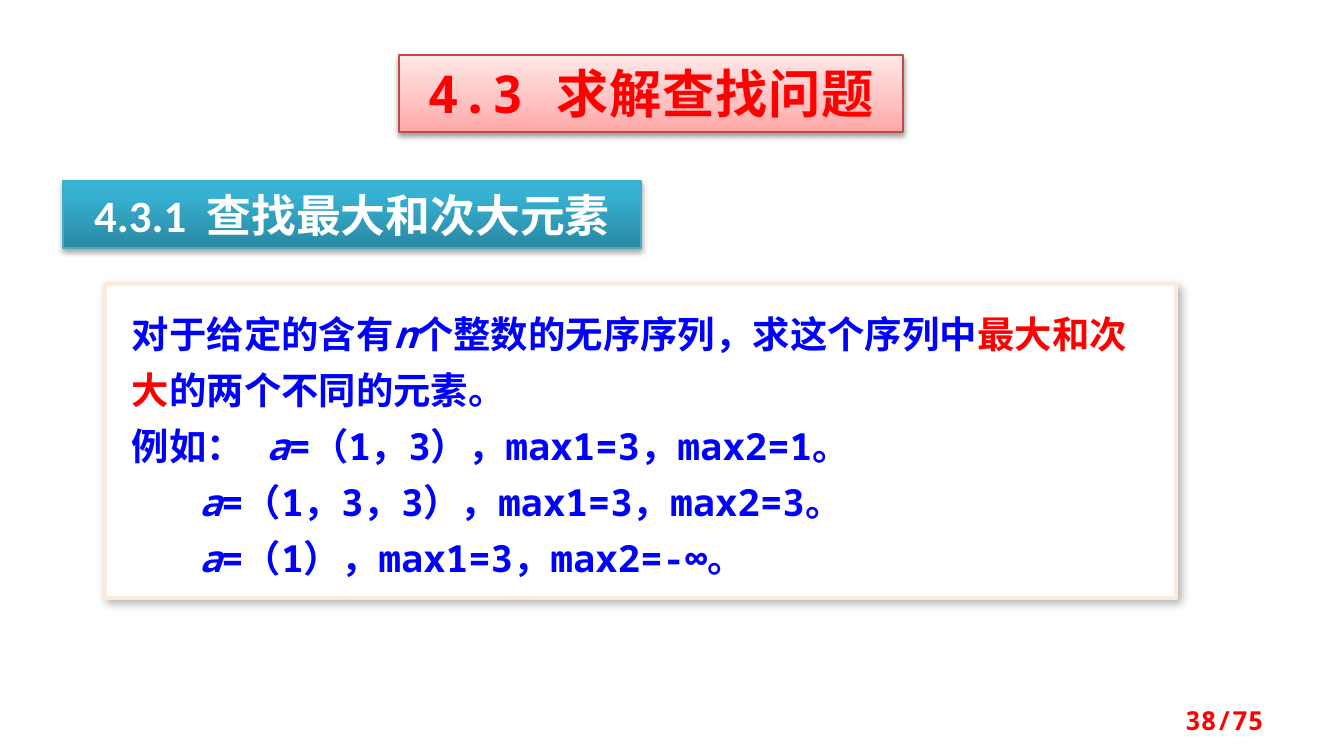
from dataclasses import dataclass

from lxml.etree import SubElement
from pptx import Presentation
from pptx.dml.color import RGBColor
from pptx.enum.shapes import MSO_SHAPE
from pptx.enum.text import MSO_ANCHOR, MSO_AUTO_SIZE, PP_ALIGN
from pptx.oxml.ns import qn
from pptx.util import Emu, Inches, Pt

EMU_PER_PX = 914400 / 134.4


@dataclass(frozen=True)
class Theme:
    white: str = "FFFFFF"
    red: str = "FF0000"
    blue: str = "0000FF"
    black: str = "000000"
    cream: str = "FDEADA"
    teal_line: str = "46AAC5"
    brick_line: str = "BF4C48"
    teal_stops: tuple = ((0, "2A88A2"), (80, "37B1D2"), (100, "34B4D6"))
    pink_stops: tuple = ((0, "FFA6A5"), (35, "FFC0BF"), (100, "FFE7E7"))
    sans: str = "Calibri"
    mono: str = "Noto Sans Mono"
    title_size: int = 28
    section_size: int = 24
    body_size: int = 20
    page_size: int = 14
    body_leading: int = 30


THEME = Theme()


@dataclass(frozen=True)
class Frame:
    left: int
    top: int
    width: int
    height: int

    def emu(self) -> list[Emu]:
        return [px(value) for value in (self.left, self.top, self.width, self.height)]


@dataclass(frozen=True)
class Shadow:
    alpha: int
    blur: float
    distance: float
    angle: int


@dataclass(frozen=True)
class Span:
    text: str
    color: str
    italic: bool = False
    spacing: float = 0


@dataclass(frozen=True)
class TextStyle:
    font: str
    size: int
    align: PP_ALIGN = PP_ALIGN.LEFT
    leading: int = 0


@dataclass(frozen=True)
class Panel:
    frame: Frame
    stops: tuple
    line: str
    line_width: float
    shadow: Shadow
    style: TextStyle
    lines: list[list[Span]]
    inset: tuple[float, float] = (0.1, 0.05)


def px(value: int) -> Emu:
    return Emu(round(value * EMU_PER_PX))


def write_lines(text_frame, lines: list[list[Span]], style: TextStyle) -> None:
    text_frame.word_wrap = True
    for index, spans in enumerate(lines):
        para = text_frame.paragraphs[0] if index == 0 else text_frame.add_paragraph()
        para.alignment = style.align
        if style.leading:
            para.line_spacing = Pt(style.leading)
        for span in spans:
            run = para.add_run()
            run.text = span.text
            run.font.name = style.font
            run.font.size = Pt(style.size)
            run.font.bold = True
            run.font.italic = span.italic
            run.font.color.rgb = RGBColor.from_string(span.color)
            properties = run.font._element
            SubElement(properties, qn("a:ea"), typeface=style.font)
            if span.spacing:
                properties.set("spc", str(round(span.spacing * 100)))


def fill_panel(box, stops: tuple) -> None:
    if len(stops) == 1:
        box.fill.solid()
        box.fill.fore_color.rgb = RGBColor.from_string(stops[0][1])
        return
    box.fill.gradient()
    box.fill.gradient_angle = 90
    stop_list = box._element.spPr.find(qn("a:gradFill")).find(qn("a:gsLst"))
    for old_stop in list(stop_list):
        stop_list.remove(old_stop)
    for position, color in stops:
        stop = SubElement(stop_list, qn("a:gs"), pos=str(position * 1000))
        SubElement(stop, qn("a:srgbClr"), val=color)


def cast_shadow(box, shadow: Shadow) -> None:
    box.shadow.inherit = False
    effects = box._element.spPr.find(qn("a:effectLst"))
    outer = SubElement(
        effects,
        qn("a:outerShdw"),
        blurRad=str(Pt(shadow.blur)),
        dist=str(Pt(shadow.distance)),
        dir=str(shadow.angle * 60000),
        rotWithShape="0",
    )
    color = SubElement(outer, qn("a:srgbClr"), val=THEME.black)
    SubElement(color, qn("a:alpha"), val=str(shadow.alpha * 1000))


def draw_panel(page, panel: Panel) -> None:
    box = page.shapes.add_shape(MSO_SHAPE.RECTANGLE, *panel.frame.emu())
    fill_panel(box, panel.stops)
    box.line.color.rgb = RGBColor.from_string(panel.line)
    box.line.width = Pt(panel.line_width)
    cast_shadow(box, panel.shadow)
    text_frame = box.text_frame
    text_frame.vertical_anchor = MSO_ANCHOR.TOP
    text_frame.auto_size = MSO_AUTO_SIZE.SHAPE_TO_FIT_TEXT
    text_frame.margin_left = text_frame.margin_right = Inches(panel.inset[0])
    text_frame.margin_top = text_frame.margin_bottom = Inches(panel.inset[1])
    write_lines(text_frame, panel.lines, panel.style)


def draw_page_number(page, frame: Frame, text: str) -> None:
    box = page.shapes.add_textbox(*frame.emu())
    box.text_frame.vertical_anchor = MSO_ANCHOR.MIDDLE
    style = TextStyle(THEME.mono, THEME.page_size, PP_ALIGN.RIGHT)
    write_lines(box.text_frame, [[Span(text, THEME.red)]], style)


def example(lead: str, result: str) -> list[Span]:
    return [Span(f"{lead}\t", THEME.blue), Span("a", THEME.blue, True), Span(result, THEME.blue)]


def main() -> None:
    """Build the slide on finding the largest and second largest elements."""
    deck = Presentation()
    deck.slide_width, deck.slide_height = px(1344), px(756)
    page = deck.slides.add_slide(deck.slide_layouts[6])
    section = [Span("4.3.1", THEME.white), Span(" ", THEME.white, spacing=5.4),
               Span("查找最大和次大元素", THEME.white)]
    problem = [
        Span("对于给定的含有", THEME.blue),
        Span("n", THEME.blue, True),
        Span("个整数的无序序列，求这个序列中", THEME.blue),
        Span("最大和次大", THEME.red),
        Span("的两个不同的元素。", THEME.blue),
    ]
    statement = [
        problem,
        example("例如：", "=（1，3），max1=3，max2=1。"),
        example("", "=（1，3，3），max1=3，max2=3。"),
        example("", "=（1），max1=3，max2=-∞。"),
    ]
    panels = [
        Panel(Frame(63, 181, 578, 67), THEME.teal_stops, THEME.teal_line, 0.75, Shadow(35, 3.1, 1.8, 90),
              TextStyle(THEME.sans, THEME.section_size, PP_ALIGN.CENTER), [section]),
        Panel(Frame(399, 55, 504, 77), THEME.pink_stops, THEME.brick_line, 0.75, Shadow(38, 3.1, 1.6, 90),
              TextStyle(THEME.mono, THEME.title_size, PP_ALIGN.CENTER),
              [[Span("4.3 求解查找问题", THEME.red, spacing=0.5)]]),
        Panel(Frame(105, 284, 1071, 314), ((0, THEME.white),), THEME.cream, 2, Shadow(30, 4.5, 2.6, 53),
              TextStyle(THEME.mono, THEME.body_size, leading=THEME.body_leading), statement, (0.2, 0.12)),
    ]
    for panel in panels:
        draw_panel(page, panel)
    draw_page_number(page, Frame(964, 700, 313, 40), "38/75")
    deck.save("out.pptx")


if __name__ == "__main__":
    main()
